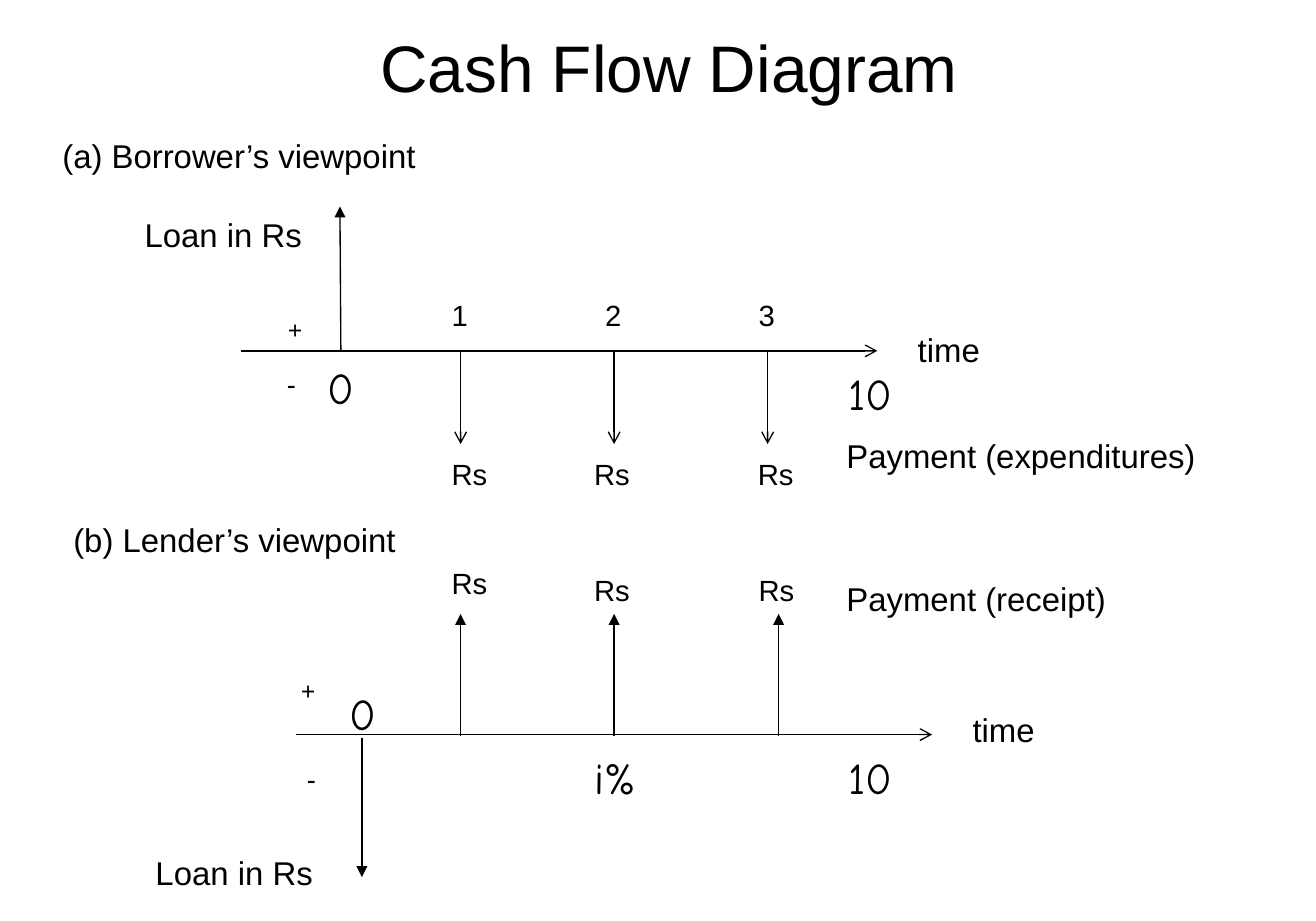
from lxml.etree import SubElement
from pptx import Presentation
from pptx.dml.color import RGBColor
from pptx.enum.shapes import MSO_CONNECTOR as CONN
from pptx.enum.text import MSO_ANCHOR as ANCHOR, PP_ALIGN as ALIGN
from pptx.oxml.ns import qn
from pptx.util import Pt

BLACK = "000000"
HEAD = {"name": "Arial", "size": Pt(36)}
BODY = {"name": "Arial", "size": Pt(18)}
SMALL = {"name": "Arial", "size": Pt(16)}
HAND = {"name": "Comic Neue", "size": Pt(24)}
SIGN = {"name": "Times New Roman", "size": Pt(14), "bold": True}


def color(value):
    """Turn a hex string into a colour."""
    return RGBColor.from_string(value)


def place(shape, x, y, w, h):
    """Set the position and size of a shape in points."""
    for key, value in {"left": x, "top": y, "width": w, "height": h}.items():
        setattr(shape, key, Pt(value))


def write(p, text, style):
    """Add a formatted run to a paragraph."""
    r = p.add_run()
    r.text = text
    for key, value in style.items():
        setattr(r.font, key, value)
    r.font.color.rgb = color(BLACK)


def label(s, text, style, x, y, w, h, wrap=True):
    """Add a text box and return its paragraph."""
    tf = s.shapes.add_textbox(Pt(x), Pt(y), Pt(w), Pt(h)).text_frame
    tf.word_wrap = wrap
    p = tf.paragraphs[0]
    write(p, text, style)
    return p


def arrow(s, x1, y1, x2, y2, head):
    """Add a thin arrow between two points."""
    line = s.shapes.add_connector(CONN.STRAIGHT, Pt(x1), Pt(y1), Pt(x2), Pt(y2))
    line.line.width = Pt(0.75)
    line.line.color.rgb = color(BLACK)
    SubElement(line.line._get_or_add_ln(), qn("a:tailEnd"), type=head)
    SubElement(line._element.spPr, qn("a:effectLst"))


def heading(s, text, x, y):
    """Add the hanging heading of a viewpoint."""
    p = label(s, text, BODY, x, y, 234, 42)
    for key, value in {"alignment": ALIGN.JUSTIFY, "line_spacing": 1.5}.items():
        setattr(p, key, value)
    pr = p._p.get_or_add_pPr()
    pr.set("marL", str(Pt(27)))
    pr.set("indent", str(Pt(-18)))


def time_axis(s, x, y, time_y):
    """Draw a time axis with its name and the last period."""
    arrow(s, x, y, x + 348, y, "arrow")
    label(s, "time", BODY, x + 363, time_y, 60, 29)
    label(s, "10", HAND, 457, y + 5, 42, 36, False)


def signs(s, plus, minus):
    """Mark the positive and negative sides of an axis."""
    for text, (x, y) in (("+", plus), ("-", minus)):
        label(s, text, SIGN, x, y, 22, 24.5, False)


def title(s, x, y, w, h):
    """Format the title placeholder."""
    sp = s.shapes.title
    place(sp, x, y, w, h)
    tf = sp.text_frame
    tf.vertical_anchor = ANCHOR.MIDDLE
    p = tf.paragraphs[0]
    p.alignment = ALIGN.CENTER
    write(p, "Cash Flow Diagram", HEAD)


def borrower(s, x, y):
    """Draw the loan received and the payments made."""
    axis = y + 132
    heading(s, "(a) Borrower’s viewpoint", x + 18, y)
    time_axis(s, x + 132, axis, y + 117)
    signs(s, (x + 150.5, y + 108), (x + 150, y + 138))
    arrow(s, x + 186.5, axis, x + 186, y + 53, "triangle")
    label(s, "Loan in Rs", BODY, x + 72, y + 54, 102, 29)
    label(s, "0", HAND, x + 172, y + 134, 28, 36, False)
    for i, rs_x in enumerate((240, 318, 407.5)):
        px = x + 252 + 84 * i
        arrow(s, px, axis, px, y + 183, "arrow")
        label(s, str(i + 1), SMALL, px - 12, y + 99, 24, 26.5)
        label(s, "Rs", SMALL, x + rs_x, y + 186, 42.5, 26.5)
    label(s, "Payment (expenditures)", BODY, x + 456, y + 175, 216, 29)


def lender(s, x, y):
    """Draw the loan given and the payments received."""
    heading(s, "(b) Lender’s viewpoint", x + 24, y)
    time_axis(s, x + 162, y + 132, y + 115)
    signs(s, (x + 157.5, y + 96), (x + 161, y + 144))
    arrow(s, x + 198, y + 134, x + 198, y + 210, "triangle")
    label(s, "Loan in Rs", BODY, x + 78, y + 193, 102, 29)
    label(s, "0", HAND, x + 184, y + 102, 28, 36, False)
    label(s, "i%", HAND, x + 318, y + 137, 42.5, 36)
    for px, rs_x, rs_y in ((252, 240, 36), (336, 318, 39.5), (426, 408, 39.5)):
        arrow(s, x + px, y + 133, x + px, y + 66, "triangle")
        label(s, "Rs", SMALL, x + rs_x, y + rs_y, 42.5, 26.5)
    label(s, "Payment (receipt)", BODY, x + 456, y + 43, 216, 29)


def main():
    """Build the slide and save it."""
    prs = Presentation()
    prs.slide_width, prs.slide_height = Pt(720), Pt(504)
    s = prs.slides.add_slide(prs.slide_layouts[5])
    title(s, 24, 6, 684, 60)
    borrower(s, 0, 60)
    lender(s, 0, 270)
    prs.save("out.pptx")


if __name__ == "__main__":
    main()
